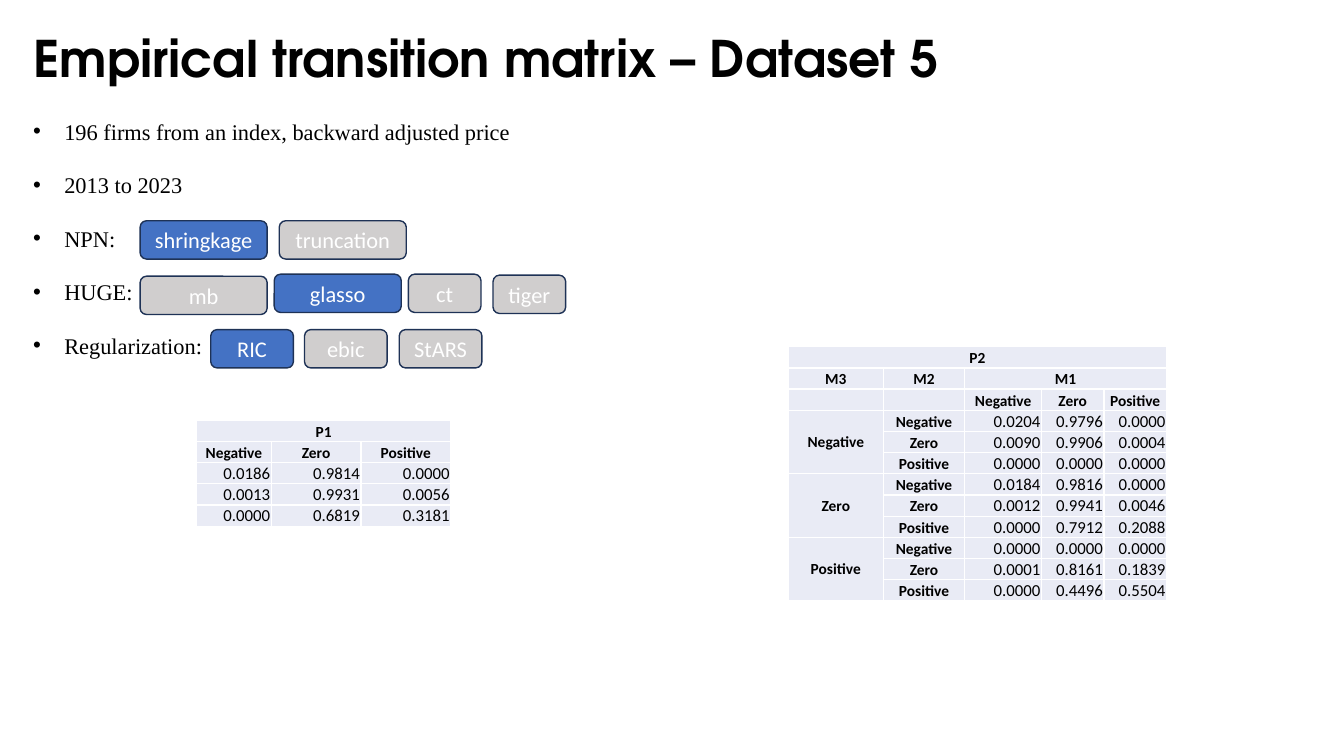
from lxml import etree
from pptx import Presentation
from pptx.dml.color import RGBColor
from pptx.enum.shapes import MSO_SHAPE
from pptx.enum.text import MSO_ANCHOR, PP_ALIGN
from pptx.oxml.ns import qn
from pptx.util import Inches, Pt

ROUNDED = MSO_SHAPE.ROUNDED_RECTANGLE
MIDDLE, BOTTOM = MSO_ANCHOR.MIDDLE, MSO_ANCHOR.BOTTOM
LEFT, CENTER, RIGHT = PP_ALIGN.LEFT, PP_ALIGN.CENTER, PP_ALIGN.RIGHT

COLORS = {
    "text": "000000",
    "white": "FFFFFF",
    "chosen": "4472C4",
    "other": "D0CECE",
    "outline": "1E3256",
    "cell": "E9EBF5",
}

TITLE = "Empirical transition matrix – Dataset 5"
BULLETS = [
    "196 firms from an index, backward adjusted price",
    "2013 to 2023",
    "NPN:",
    "HUGE:",
    "Regularization:",
]

OPTIONS = [
    ("shringkage", 1.39, 2.19, 1.26),
    ("truncation", 2.77, 2.19, 1.26),
    ("mb", 1.39, 2.74, 1.26),
    ("glasso", 2.72, 2.72, 1.26),
    ("ct", 4.05, 2.72, 0.72),
    ("tiger", 4.89, 2.73, 0.72),
    ("RIC", 2.09, 3.27, 0.82),
    ("ebic", 3.02, 3.27, 0.82),
    ("StARS", 3.96, 3.27, 0.82),
]
CHOSEN = {"shringkage", "glasso", "RIC"}
OPTION_HEIGHT = 0.38

STATES = ["Negative", "Zero", "Positive"]
P1_VALUES = [
    ["0.0186", "0.9814", "0.0000"],
    ["0.0013", "0.9931", "0.0056"],
    ["0.0000", "0.6819", "0.3181"],
]
P2_VALUES = [
    ["0.0204", "0.9796", "0.0000"],
    ["0.0090", "0.9906", "0.0004"],
    ["0.0000", "0.0000", "0.0000"],
    ["0.0184", "0.9816", "0.0000"],
    ["0.0012", "0.9941", "0.0046"],
    ["0.0000", "0.7912", "0.2088"],
    ["0.0000", "0.0000", "0.0000"],
    ["0.0001", "0.8161", "0.1839"],
    ["0.0000", "0.4496", "0.5504"],
]
P1_ROWS = [["P1", "", ""], STATES] + P1_VALUES
P2_ROWS = [
    ["P2", "", "", "", ""],
    ["M3", "M2", "M1", "", ""],
    ["", ""] + STATES,
] + [
    [STATES[i // 3] if i % 3 == 0 else "", STATES[i % 3]] + values
    for i, values in enumerate(P2_VALUES)
]
P1_SPANS = [(0, 0, 0, 2)]
P2_SPANS = [(0, 0, 0, 4), (1, 2, 1, 4)] + [(r, 0, r + 2, 0) for r in (3, 6, 9)]
MATRICES = [
    (P1_ROWS, P1_SPANS, 1.95, 4.17, [0.74, 0.89, 0.89]),
    (P2_ROWS, P2_SPANS, 7.82, 3.44, [0.94, 0.81, 0.76, 0.62, 0.62]),
]
ROW_HEIGHT = 0.21


def rgb(name):
    return RGBColor.from_string(COLORS[name])


def style(paragraph, size, face, color="text", bold=False, align=LEFT):
    paragraph.alignment = align
    font = paragraph.font
    font.size, font.name, font.bold = Pt(size), face, bold
    font.color.rgb = rgb(color)


def add_text_box(slide, top, height):
    box = slide.shapes.add_textbox(
        Inches(0.23), Inches(top), Inches(12.88), Inches(height))
    box.text_frame.word_wrap = True
    return box.text_frame


def add_bullets(slide):
    frame = add_text_box(slide, 1.12, 2.52)
    frame.text = "\n".join(BULLETS)
    for paragraph in frame.paragraphs:
        properties = paragraph._p.get_or_add_pPr()
        properties.set("marL", str(Inches(0.31)))
        properties.set("indent", str(Inches(-0.31)))
        etree.SubElement(properties, qn("a:buFont"), typeface="Arial")
        etree.SubElement(properties, qn("a:buChar"), char="•")
        paragraph.space_after = Pt(19)
        style(paragraph, 16, "Times New Roman")


def add_option(slide, label, left, top, width):
    option = slide.shapes.add_shape(
        ROUNDED, Inches(left), Inches(top), Inches(width), Inches(OPTION_HEIGHT))
    option.shadow.inherit = False
    option.fill.solid()
    option.fill.fore_color.rgb = rgb("chosen" if label in CHOSEN else "other")
    option.line.color.rgb = rgb("outline")
    option.line.width = Pt(1)
    frame = option.text_frame
    frame.text = label
    frame.vertical_anchor = MIDDLE
    style(frame.paragraphs[0], 16, "Calibri", "white", align=CENTER)


def fill_cell(cell, text):
    numeric = text[:1].isdigit()
    cell.margin_left = cell.margin_right = cell.margin_top = Inches(0.01)
    cell.margin_bottom = 0
    cell.vertical_anchor = MIDDLE if cell.is_merge_origin and cell.span_height > 1 else BOTTOM
    paragraph = cell.text_frame.paragraphs[0]
    if text:
        paragraph.text = text
    else:
        etree.SubElement(paragraph._p, qn("a:endParaRPr"), sz="1100")
    style(paragraph, 12 if numeric else 11, "Calibri",
          bold=not numeric, align=RIGHT if numeric else CENTER)
    properties = cell._tc.get_or_add_tcPr()
    for side in ("lnL", "lnR", "lnT", "lnB"):
        border = etree.SubElement(properties, qn(f"a:{side}"), w=str(Pt(1)))
        paint = etree.SubElement(border, qn("a:solidFill"))
        etree.SubElement(paint, qn("a:srgbClr"), val=COLORS["white"])
    cell.fill.solid()
    cell.fill.fore_color.rgb = rgb("cell")


def add_matrix(slide, rows, spans, left, top, widths):
    matrix = slide.shapes.add_table(
        len(rows), len(widths), Inches(left), Inches(top),
        Inches(sum(widths)), Inches(ROW_HEIGHT * len(rows))).table
    matrix.first_row = matrix.horz_banding = False
    for column, width in zip(matrix.columns, widths):
        column.width = Inches(width)
    for first_row, first_col, last_row, last_col in spans:
        matrix.cell(first_row, first_col).merge(matrix.cell(last_row, last_col))
    for r, row in enumerate(rows):
        matrix.rows[r].height = Inches(ROW_HEIGHT)
        for c, text in enumerate(row):
            fill_cell(matrix.cell(r, c), text)


def main():
    deck = Presentation()
    deck.slide_width, deck.slide_height = Inches(13.33), Inches(7.5)
    slide = deck.slides.add_slide(deck.slide_layouts[6])
    title = add_text_box(slide, 0.22, 0.71)
    title.text = TITLE
    style(title.paragraphs[0], 36, "TeX Gyre Adventor", bold=True)
    for matrix in MATRICES:
        add_matrix(slide, *matrix)
    add_bullets(slide)
    for option in OPTIONS:
        add_option(slide, *option)
    deck.save("out.pptx")


if __name__ == "__main__":
    main()
